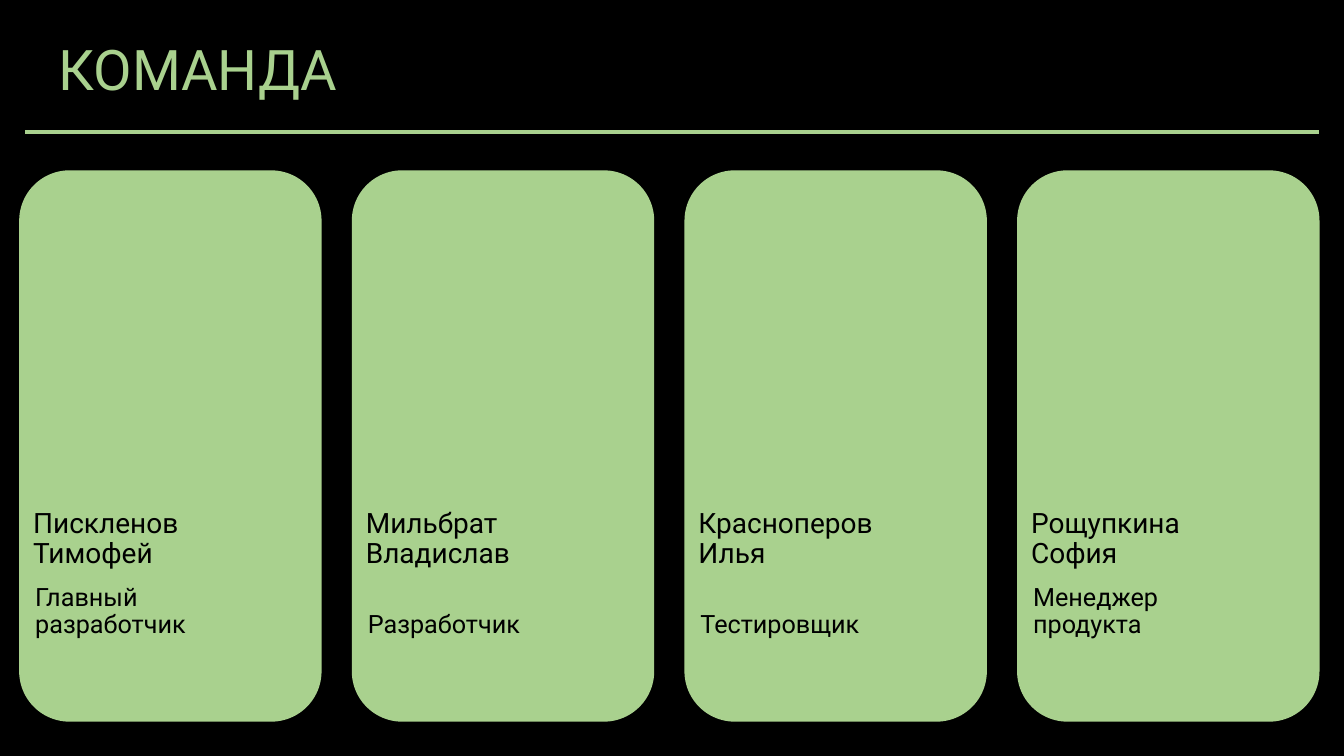
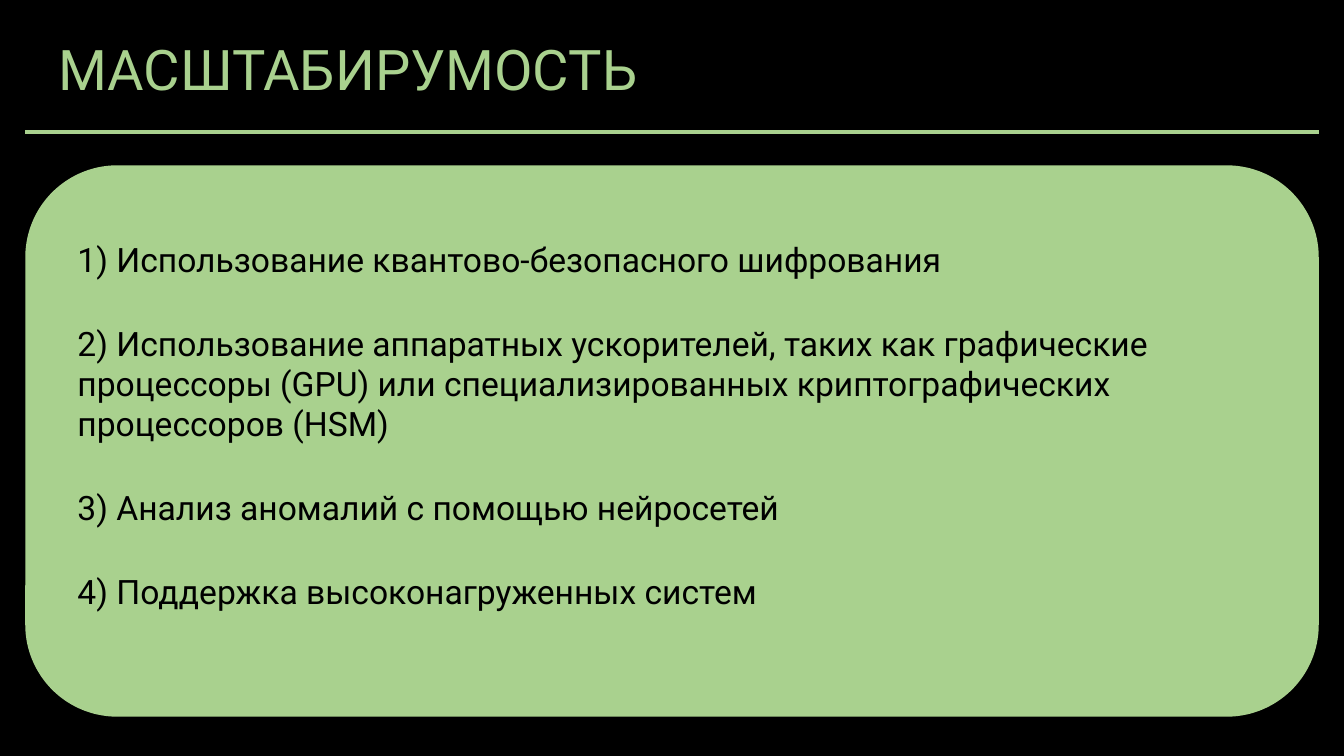
from pptx import Presentation
from pptx.dml.color import RGBColor
from pptx.enum.shapes import MSO_CONNECTOR as Connector, MSO_SHAPE as Shape
from pptx.enum.text import MSO_ANCHOR as Anchor, MSO_AUTO_SIZE as AutoSize, PP_ALIGN as Align
from pptx.util import Inches, Pt
from lxml import etree

BLACK = RGBColor(0x00, 0x00, 0x00)
GREEN = RGBColor(0xA9, 0xD1, 0x8E)
FONT = "Roboto"
TITLE_ONLY = 5
DRAWING = "{http://schemas.openxmlformats.org/drawingml/2006/main}"

# Shared layout, in percent of the slide's width or height
MARGIN = 1.88
PANEL_HEIGHT = 72.93


class Deck:
    """Holds the style and the current slide; lengths are percents of the slide."""

    def __init__(self):
        self.presentation = Presentation()
        self.presentation.slide_width = Inches(13.33)
        self.presentation.slide_height = Inches(7.5)
        background = self.presentation.slide_master.background.fill
        background.solid()
        background.fore_color.rgb = BLACK
        self.slide = None

    def box(self, left, top, width, height):
        across = self.presentation.slide_width / 100
        down = self.presentation.slide_height / 100
        return (round(left * across), round(top * down),
                round(width * across), round(height * down))

    def fill_text(self, frame, lines, size, color, anchor, spacing=1.0, gap=0):
        frame.word_wrap = True
        frame.auto_size = AutoSize.NONE
        frame.vertical_anchor = anchor
        for index, line in enumerate(lines):
            paragraph = frame.add_paragraph() if index else frame.paragraphs[0]
            paragraph.alignment = Align.LEFT
            paragraph.line_spacing = spacing
            paragraph.space_before = Pt(gap if index else 0)
            run = paragraph.add_run()
            run.text = line
            run.font.name = FONT
            run.font.size = Pt(size)
            run.font.color.rgb = color

    def add_slide(self, title):
        layout = self.presentation.slide_layouts[TITLE_ONLY]
        self.slide = self.presentation.slides.add_slide(layout)
        heading = self.slide.shapes.title
        heading.left, heading.top, heading.width, heading.height = self.box(3.6, 2.4, 54.3, 11.87)
        self.fill_text(heading.text_frame, [title], 40, GREEN, Anchor.BOTTOM, 0.9)
        self.rule(17.47)

    def rule(self, top):
        left, y, width, _ = self.box(MARGIN, top, 100 - 2 * MARGIN, 0)
        line = self.slide.shapes.add_connector(Connector.STRAIGHT, left, y, left + width, y)
        line.line.color.rgb = GREEN
        line.line.width = Pt(3)
        etree.SubElement(line._element.spPr, DRAWING + "effectLst")

    def panel(self, left, top, width):
        panel = self.slide.shapes.add_shape(
            Shape.ROUNDED_RECTANGLE, *self.box(left, top, width, PANEL_HEIGHT))
        panel.shadow.inherit = False
        panel.fill.solid()
        panel.fill.fore_color.rgb = GREEN
        panel.line.fill.background()

    def text(self, left, top, width, height, lines, size, **style):
        text_box = self.slide.shapes.add_textbox(*self.box(left, top, width, height))
        self.fill_text(text_box.text_frame, lines, size, BLACK, **style)

    def member_card(self, column, name, role):
        left = 1.43 + column * 24.75
        self.panel(left, 22.53, 22.5)
        label = {"anchor": Anchor.BOTTOM, "spacing": 0.9}
        self.text(left + 0.3, 60.53, 15.83, 15.47, name, 20, **label)
        self.text(left + 0.45, 74.67, 15.68, 10.53, role, 18, **label)


TEAM = [
    (["Пискленов", "Тимофей"], ["Главный", "разработчик"]),
    (["Мильбрат", "Владислав"], ["Разработчик"]),
    (["Красноперов", "Илья"], ["Тестировщик"]),
    (["Рощупкина", "София"], ["Менеджер", "продукта"]),
]

SCALING = [
    "1) Использование квантово-безопасного шифрования",
    "2) Использование аппаратных ускорителей, таких как графические процессоры (GPU) "
    "или специализированных криптографических процессоров (HSM)",
    "3) Анализ аномалий с помощью нейросетей",
    "4) Поддержка высоконагруженных систем",
]


def main():
    deck = Deck()

    # Team
    deck.add_slide("КОМАНДА")
    for column, (name, role) in enumerate(TEAM):
        deck.member_card(column, name, role)

    # Scalability
    deck.add_slide("МАСШТАБИРУМОСТЬ")
    deck.panel(MARGIN, 21.87, 100 - 2 * MARGIN)
    deck.text(5.03, 30.93, 88.28, 51.07, SCALING, 24, anchor=Anchor.TOP, gap=31)

    deck.presentation.save("out.pptx")


if __name__ == "__main__":
    main()
